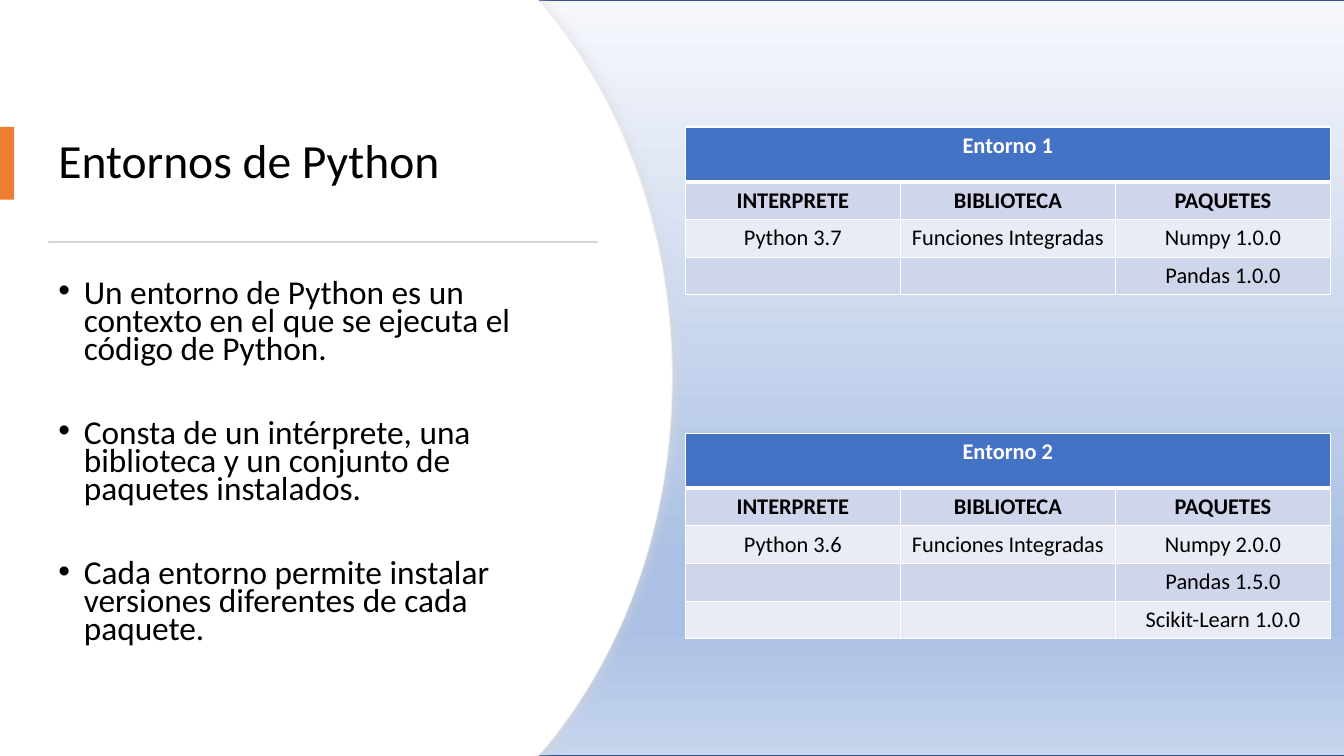
"""Builds the slide about Python environments."""
from lxml.etree import SubElement
from pptx import Presentation
from pptx.dml.color import RGBColor
from pptx.enum.shapes import MSO_SHAPE
from pptx.enum.text import MSO_ANCHOR, MSO_AUTO_SIZE, PP_ALIGN
from pptx.oxml import parse_xml
from pptx.oxml.ns import nsdecls, qn
from pptx.util import Cm, Pt

BLACK = RGBColor(0x00, 0x00, 0x00)
WHITE = RGBColor(0xFF, 0xFF, 0xFF)
ORANGE = RGBColor(0xED, 0x7D, 0x31)
RULE_GRAY = RGBColor(0xD5, 0xD5, 0xD5)
EDGE_GRAY = RGBColor(0xEF, 0xEF, 0xEF)
SHADOW_GRAY = RGBColor(0xD9, 0xD9, 0xD9)
NAVY = RGBColor(0x32, 0x54, 0x91)
HEADER_BLUE = RGBColor(0x44, 0x72, 0xC4)
BAND_DARK = RGBColor(0xCF, 0xD5, 0xEA)
BAND_LIGHT = RGBColor(0xE9, 0xEB, 0xF5)
SKY = [(0, RGBColor(0xF6, 0xF8, 0xFC)), (74, RGBColor(0xAB, 0xC0, 0xE4)),
       (83, RGBColor(0xAB, 0xC0, 0xE4)), (100, RGBColor(0xC7, 0xD5, 0xED))]

WIDTH, HEIGHT = 33.87, 19.05
HEADINGS = ["INTERPRETE", "BIBLIOTECA", "PAQUETES"]
IDEAS = [
    "Un entorno de Python es un contexto en el que se ejecuta el código de Python.",
    "Consta de un intérprete, una biblioteca y un conjunto de paquetes instalados.",
    "Cada entorno permite instalar versiones diferentes de cada paquete.",
]
ENVIRONMENTS = [
    (3.2, "Entorno 1", "Python 3.7", ["Numpy 1.0.0", "Pandas 1.0.0"]),
    (10.92, "Entorno 2", "Python 3.6",
     ["Numpy 2.0.0", "Pandas 1.5.0", "Scikit-Learn 1.0.0"]),
]


def write(paragraph, text, font="Calibri", size=16, color=BLACK, bold=False,
          align=PP_ALIGN.LEFT, spacing=None, before=0):
    """Put formatted text in a paragraph."""
    run = paragraph.add_run()
    run.text = text
    run.font.name, run.font.size, run.font.bold = font, Pt(size), bold
    run.font.color.rgb = color
    paragraph.alignment = align
    paragraph.line_spacing = spacing
    paragraph.space_before = Pt(before)


class EnvironmentSlide:
    """Holds the style and the current slide."""

    def __init__(self, deck, font="Calibri"):
        """Add a slide with a title and a list."""
        self.slide = deck.slides.add_slide(deck.slide_layouts[1])
        self.font = font

    def paint(self, shape, fill, edge=None, edge_width=0.75):
        """Give a shape its fill and edge, without a shadow."""
        shape.shadow.inherit = False
        shape.fill.solid()
        shape.fill.fore_color.rgb = fill
        if edge is None:
            shape.line.fill.background()
        else:
            shape.line.color.rgb = edge
            shape.line.width = Pt(edge_width)
        return shape

    def block(self, left, top, width, height, fill, **edge):
        """Draw a rectangle."""
        box = self.slide.shapes.add_shape(
            MSO_SHAPE.RECTANGLE, Cm(left), Cm(top), Cm(width), Cm(height))
        return self.paint(box, fill, **edge)

    def backdrop(self, left, width, stops):
        """Draw a full-height block with a vertical gradient."""
        sky = self.block(left, 0, width, HEIGHT, WHITE, edge=NAVY, edge_width=1)
        marks = "".join(f'<a:gs pos="{place * 1000}"><a:srgbClr val="{color}"/></a:gs>'
                        for place, color in stops)
        gradient = parse_xml(f'<a:gradFill {nsdecls("a")}><a:gsLst>{marks}</a:gsLst>'
                             '<a:lin ang="5400000" scaled="0"/></a:gradFill>')
        properties = sky.element.spPr
        properties.replace(properties.find(qn("a:solidFill")), gradient)

    def panel(self, bulge, **edge):
        """Draw a white panel whose right edge is two Bézier curves."""
        upper = [(bulge - 3.38, 0), (bulge - 3.2, 0.2), (bulge - 1.22, 2.59), (bulge, 5.89)]
        lower = [(x, HEIGHT - y) for x, y in reversed(upper)]
        points = upper + [(bulge, HEIGHT / 2)] + lower + [(0, HEIGHT)]
        outline = self.slide.shapes.build_freeform(0, 0, scale=1)
        outline.add_line_segments([(Cm(x), Cm(y)) for x, y in points], close=True)
        shape = outline.convert_to_shape()
        lines = list(shape.element.spPr.iter(qn("a:lnTo")))
        for start in (2, 5):
            trio = lines[start:start + 3]
            curve = parse_xml(f'<a:cubicBezTo {nsdecls("a")}/>')
            trio[0].addprevious(curve)
            for line in trio:
                curve.append(line[0])
                line.getparent().remove(line)
        return self.paint(shape, WHITE, **edge)

    def cast_shadow(self, shape):
        """Add a soft shadow to the right of a shape."""
        effects = shape.element.spPr.find(qn("a:effectLst"))
        shadow = SubElement(effects, qn("a:outerShdw"), blurRad=str(Pt(7)),
                            dist=str(Pt(3)), dir="0", algn="l", rotWithShape="0")
        tint = SubElement(shadow, qn("a:srgbClr"), val=str(SHADOW_GRAY))
        SubElement(tint, qn("a:alpha"), val="50000")

    def place(self, holder, left, top, width, height, anchor):
        """Move a placeholder to its area, in front of the panels."""
        holder.left, holder.top = Cm(left), Cm(top)
        holder.width, holder.height = Cm(width), Cm(height)
        holder.element.getparent().append(holder.element)
        holder.text_frame.word_wrap = True
        holder.text_frame.auto_size = MSO_AUTO_SIZE.NONE
        holder.text_frame.vertical_anchor = anchor
        return holder.text_frame

    def title(self, text, *area):
        """Fill the title."""
        frame = self.place(self.slide.shapes.title, *area, MSO_ANCHOR.MIDDLE)
        write(frame.paragraphs[0], text, font=self.font, size=34, spacing=0.9)

    def bullets(self, ideas, *area):
        """Fill the list."""
        frame = self.place(self.slide.placeholders[1], *area, MSO_ANCHOR.TOP)
        for index, idea in enumerate(ideas):
            paragraph = frame.add_paragraph() if index else frame.paragraphs[0]
            write(paragraph, idea, font=self.font, size=23.8, spacing=0.7,
                  before=40 if index else 10)
            properties = paragraph._p.get_or_add_pPr()
            properties.set("marL", str(Cm(0.64)))
            properties.set("indent", str(-Cm(0.64)))
            SubElement(properties, qn("a:buChar"), char="•")

    def underline(self, cell):
        """Give a header cell a thick white bottom border."""
        border = parse_xml(f'<a:lnB {nsdecls("a")} w="{Pt(3)}"><a:solidFill>'
                           f'<a:srgbClr val="{WHITE}"/></a:solidFill></a:lnB>')
        cell._tc.get_or_add_tcPr().insert(0, border)

    def environment(self, top, name, interpreter, packages):
        """Draw the table of one environment."""
        rows = [[name, "", ""], HEADINGS, [interpreter, "Funciones Integradas", packages[0]]]
        rows += [["", "", package] for package in packages[1:]]
        heights = [1.38] + [0.95] * (len(rows) - 1)
        grid = self.slide.shapes.add_table(
            len(rows), 3, Cm(17.27), Cm(top), Cm(16.26), Cm(sum(heights))).table
        for r, texts in enumerate(rows):
            grid.rows[r].height = Cm(heights[r])
            for c, text in enumerate(texts):
                cell = grid.cell(r, c)
                cell.margin_bottom = 0
                cell.fill.solid()
                cell.fill.fore_color.rgb = (
                    HEADER_BLUE if r == 0 else BAND_DARK if r % 2 else BAND_LIGHT)
                if r == 0:
                    self.underline(cell)
                if text:
                    write(cell.text_frame.paragraphs[0], text, font=self.font,
                          color=BLACK if r else WHITE, bold=r < 2, align=PP_ALIGN.CENTER)
        grid.cell(0, 0).merge(grid.cell(0, 2))


def main():
    """Build and save the slide."""
    deck = Presentation()
    deck.slide_width, deck.slide_height = Cm(WIDTH), Cm(HEIGHT)
    page = EnvironmentSlide(deck)
    page.backdrop(12.09, 22.2, SKY)
    page.cast_shadow(page.panel(16.94, edge=EDGE_GRAY))
    page.panel(16.92)
    page.title("Entornos de Python", 1.22, 2.39, 13.44, 3.45)
    page.block(0, 3.2, 0.36, 1.83, ORANGE)
    page.block(1.22, 6.07, 13.84, 0.05, RULE_GRAY)
    page.bullets(IDEAS, 1.22, 6.99, 13.44, 10.19)
    for environment in ENVIRONMENTS:
        page.environment(*environment)
    deck.save("out.pptx")


if __name__ == "__main__":
    main()
